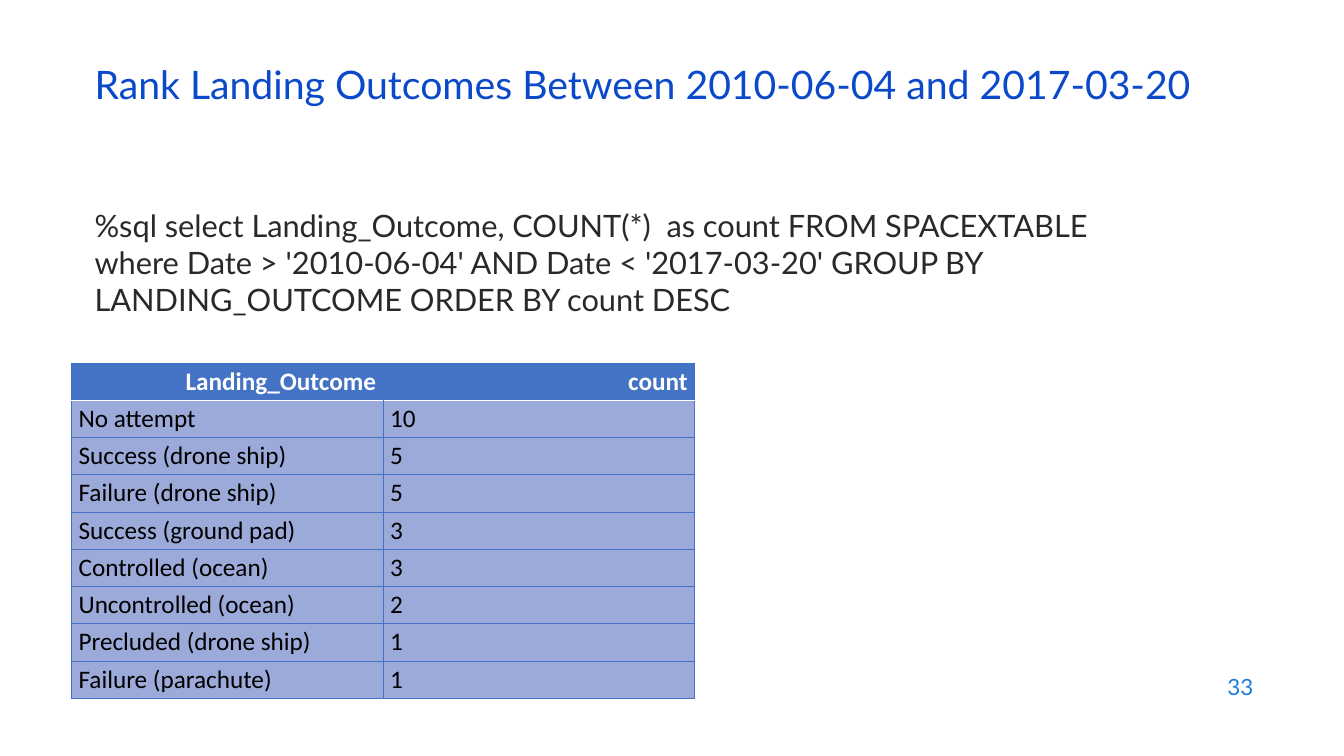
from lxml import etree
from pptx import Presentation
from pptx.dml.color import RGBColor
from pptx.enum.text import MSO_ANCHOR, PP_ALIGN
from pptx.oxml.ns import qn
from pptx.util import Inches, Pt

WHITE = RGBColor(0xFF, 0xFF, 0xFF)
BLACK = RGBColor(0x00, 0x00, 0x00)
TITLE_BLUE = RGBColor(0x0B, 0x49, 0xCB)
NUMBER_BLUE = RGBColor(0x1C, 0x7D, 0xDB)
INK = RGBColor(0x29, 0x29, 0x29)
HEADER_BLUE = RGBColor(0x44, 0x72, 0xC4)
ROW_BLUE = RGBColor(0x9B, 0xAA, 0xD9)


def write(tf, text, font, align=PP_ALIGN.LEFT, spacing=1.0):
    p = tf.paragraphs[0]
    p.alignment = align
    p.line_spacing = spacing
    r = p.add_run()
    r.text = text
    for name, value in font.items():
        if name == "color":
            r.font.color.rgb = value
        else:
            setattr(r.font, name, value)


def set_borders(cell, borders):
    tcPr = cell._tc.get_or_add_tcPr()
    for i, (side, (color, width)) in enumerate(borders.items()):
        ln = etree.Element(qn("a:" + side), w=str(Pt(width)))
        if color is None:
            etree.SubElement(ln, qn("a:noFill"))
        else:
            fill = etree.SubElement(ln, qn("a:solidFill"))
            etree.SubElement(fill, qn("a:srgbClr"), val=str(color))
        tcPr.insert(i, ln)  # borders come before the fill


prs = Presentation()
prs.slide_width = Inches(13.33)
prs.slide_height = Inches(7.5)
s = prs.slides.add_slide(prs.slide_layouts[6])

# Title, query and slide number
QUERY = ("%sql select Landing_Outcome, COUNT(*)  as count FROM SPACEXTABLE "
         "where Date > '2010-06-04' AND Date < '2017-03-20' "
         "GROUP BY LANDING_OUTCOME ORDER BY count DESC")
texts = [
    ("Rank Landing Outcomes Between 2010-06-04 and 2017-03-20",
     (0.84, 0.59, 11.5, 0.6), 28, TITLE_BLUE, MSO_ANCHOR.MIDDLE, PP_ALIGN.LEFT, 0.7),
    (QUERY, (0.84, 2, 10.66, 1.91), 22, INK, MSO_ANCHOR.TOP, PP_ALIGN.LEFT, 1.0),
    ("33", (9.53, 6.59, 3, 0.44), 16, NUMBER_BLUE, MSO_ANCHOR.MIDDLE, PP_ALIGN.RIGHT, 1.0),
]
for text, box, size, color, anchor, align, spacing in texts:
    tf = s.shapes.add_textbox(*[Inches(v) for v in box]).text_frame
    tf.word_wrap = True
    tf.vertical_anchor = anchor
    write(tf, text, {"name": "Lato", "size": Pt(size), "color": color}, align, spacing)

# Table of landing outcomes
rows = [
    ("Landing_Outcome", "count"),
    ("No attempt", "10"),
    ("Success (drone ship)", "5"),
    ("Failure (drone ship)", "5"),
    ("Success (ground pad)", "3"),
    ("Controlled (ocean)", "3"),
    ("Uncontrolled (ocean)", "2"),
    ("Precluded (drone ship)", "1"),
    ("Failure (parachute)", "1"),
]
ROW_HEIGHT = 0.37
table = s.shapes.add_table(len(rows), 2, Inches(0.71), Inches(3.6), Inches(6.18),
                           Inches(ROW_HEIGHT * len(rows))).table
for i, row in enumerate(rows):
    table.rows[i].height = Inches(ROW_HEIGHT)
    header = i == 0
    for j, text in enumerate(row):
        cell = table.cell(i, j)
        cell.margin_left = cell.margin_right = Inches(0.07)
        cell.margin_top = cell.margin_bottom = Inches(0.03)
        cell.vertical_anchor = MSO_ANCHOR.MIDDLE
        cell.fill.solid()
        cell.fill.fore_color.rgb = HEADER_BLUE if header else ROW_BLUE
        font = {"name": "Calibri", "size": Pt(18), "bold": header,
                "color": WHITE if header else BLACK}
        write(cell.text_frame, text, font, PP_ALIGN.RIGHT if header else PP_ALIGN.LEFT)
        borders = {side: (HEADER_BLUE, 0.5) for side in ("lnL", "lnR", "lnT", "lnB")}
        if header:
            borders["lnB"] = (WHITE, 1)
            borders["lnR" if j == 0 else "lnL"] = (None, 0.5)
        elif i == 1:
            borders["lnT"] = (WHITE, 1)
        set_borders(cell, borders)

prs.save("out.pptx")
